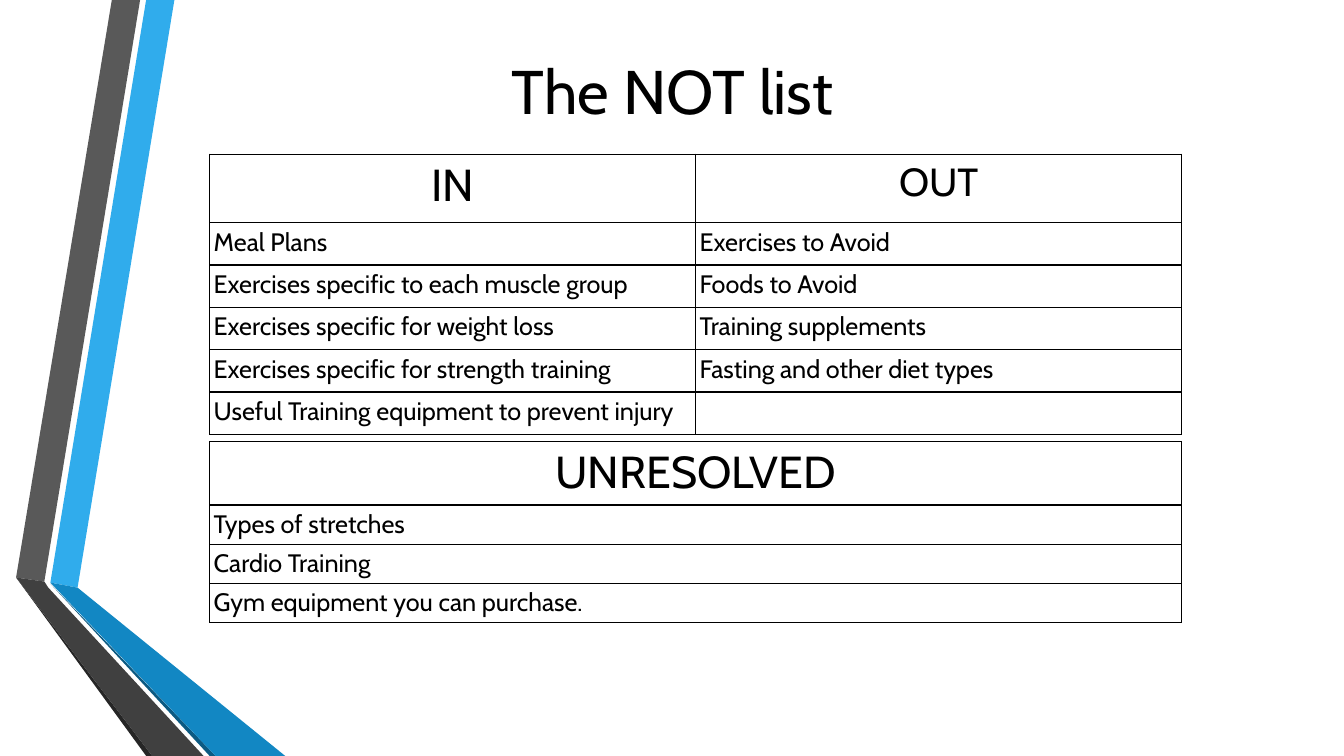
from lxml.etree import SubElement
from pptx import Presentation
from pptx.dml.color import RGBColor
from pptx.enum.text import MSO_ANCHOR as Anchor, PP_ALIGN as Align
from pptx.oxml.ns import qn
from pptx.util import Inches, Pt

FONT = "Cabin"
BLACK = "000000"
LEFT, WIDTH = 2.08, 9.64
MARGIN = 0.04

# Ribbon facets from back to front: colour and corner points
RIBBONS = [
    ("30ACEC", [(0.5, 5.78), (0.77, 5.83), (1.73, 0), (1.45, 0)]),
    ("595959", [(1.39, 0), (1.11, 0), (0.16, 5.73), (0.44, 5.77)]),
    ("262626", [(0.16, 5.73), (1.45, 7.5), (1.51, 7.5)]),
    ("0C5A82", [(0.5, 5.79), (2.08, 7.5), (2.14, 7.5)]),
    ("1287C3", [(0.5, 5.78), (2.14, 7.5), (2.83, 7.5), (0.77, 5.83)]),
    ("404040", [(0.16, 5.73), (1.51, 7.5), (2.02, 7.5), (0.48, 5.83),
                (0.44, 5.77)]),
]

# Each header is a pair of text and size
SCOPE_HEADERS = [("IN", 32), ("OUT", 28)]
SCOPE_ROWS = [
    ["Meal Plans", "Exercises to Avoid"],
    ["Exercises specific to each muscle group", "Foods to Avoid"],
    ["Exercises specific for weight loss", "Training supplements"],
    ["Exercises specific for strength training", "Fasting and other diet types"],
    ["Useful Training equipment to prevent injury", ""],
]
OPEN_HEADERS = [("UNRESOLVED", 32)]
OPEN_ROWS = [["Types of stretches"], ["Cardio Training"],
             ["Gym equipment you can purchase."]]


def paint(target, color):
    """Give a fill or a font a solid hex colour."""
    if hasattr(target, "solid"):
        target.solid()
        target.fore_color.rgb = RGBColor.from_string(color)
    else:
        target.color.rgb = RGBColor.from_string(color)


def write(frame, text, size=18, align=Align.LEFT, color=BLACK):
    para = frame.paragraphs[0]
    para.alignment = align
    if not text:
        para.font.size = Pt(size)
        return
    span = para.add_run()
    span.text = text
    span.font.name = FONT
    span.font.size = Pt(size)
    paint(span.font, color)


def add_ribbon(page, color, points):
    corners = [(Inches(x), Inches(y)) for x, y in points]
    builder = page.shapes.build_freeform(*corners[0])
    builder.add_line_segments(corners[1:], close=True)
    facet = builder.convert_to_shape()
    facet.shadow.inherit = False
    facet.line.fill.background()
    paint(facet.fill, color)


def add_title(page, text):
    box = page.shapes.add_textbox(Inches(2.17), Inches(0.27), Inches(9), Inches(1.25))
    box.text_frame.word_wrap = True
    box.text_frame.vertical_anchor = Anchor.MIDDLE
    write(box.text_frame, text, size=44, align=Align.CENTER)


def add_borders(cell, color=BLACK, width=1):
    properties = cell._tc.get_or_add_tcPr()
    for side in ("lnL", "lnR", "lnT", "lnB"):
        line = SubElement(properties, qn(f"a:{side}"), w=str(Pt(width)))
        fill = SubElement(line, qn("a:solidFill"))
        SubElement(fill, qn("a:srgbClr"), val=color)


def format_cell(cell, text, **style):
    cell.margin_left = cell.margin_right = Inches(MARGIN)
    cell.margin_top = cell.margin_bottom = Inches(MARGIN)
    add_borders(cell)
    cell.fill.background()
    write(cell.text_frame, text, **style)


def add_list_table(page, top, headers, rows, header_height, row_height):
    height = header_height + row_height * len(rows)
    table = page.shapes.add_table(len(rows) + 1, len(headers), Inches(LEFT),
                                  Inches(top), Inches(WIDTH), Inches(height)).table
    table.first_row = table.horz_banding = False
    for row in table.rows:
        row.height = Inches(row_height)
    table.rows[0].height = Inches(header_height)
    for column, (text, size) in enumerate(headers):
        format_cell(table.cell(0, column), text, size=size, align=Align.CENTER)
    for number, entries in enumerate(rows, start=1):
        for column, text in enumerate(entries):
            format_cell(table.cell(number, column), text)


def main():
    deck = Presentation()
    deck.slide_width, deck.slide_height = Inches(13.33), Inches(7.5)
    page = deck.slides.add_slide(deck.slide_layouts[6])

    # Folded ribbons on the left
    for color, points in RIBBONS:
        add_ribbon(page, color, points)

    # Title and the two lists
    add_title(page, "The NOT list")
    add_list_table(page, 1.53, SCOPE_HEADERS, SCOPE_ROWS, 0.68, 0.42)
    add_list_table(page, 4.38, OPEN_HEADERS, OPEN_ROWS, 0.63, 0.39)

    deck.save("out.pptx")


main()
